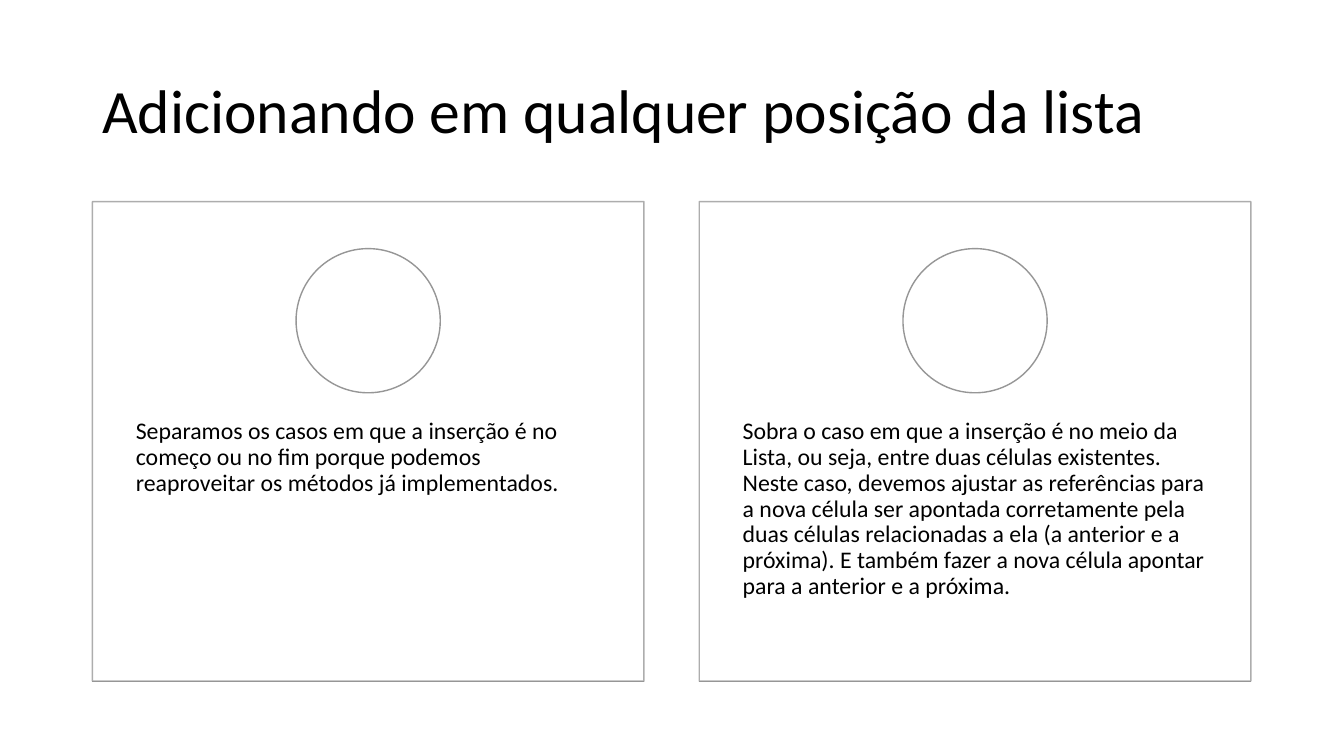
from dataclasses import dataclass

from lxml.etree import SubElement
from pptx import Presentation
from pptx.dml.color import RGBColor
from pptx.enum.shapes import MSO_CONNECTOR, MSO_SHAPE
from pptx.enum.text import MSO_ANCHOR
from pptx.oxml.ns import qn
from pptx.util import Pt


@dataclass(frozen=True)
class Theme:
    font: str = "Calibri"
    title: int = 44
    body: int = 17
    ink: RGBColor = RGBColor(0x00, 0x00, 0x00)
    paper: RGBColor = RGBColor(0xFF, 0xFF, 0xFF)
    frame: RGBColor = RGBColor(0xA5, 0xA5, 0xA5)
    rule: RGBColor = RGBColor(0x96, 0x96, 0x96)


theme = Theme()
deck = Presentation()
deck.slide_width, deck.slide_height = Pt(960), Pt(540)
slide = deck.slides.add_slide(deck.slide_layouts[6])


def add_text(text, left, top, width, height, size):
    box = slide.shapes.add_textbox(Pt(left), Pt(top), Pt(width), Pt(height))
    frame = box.text_frame
    frame.word_wrap = True
    frame.text = text
    para = frame.paragraphs[0]
    para.line_spacing = 0.9
    font = para.runs[0].font
    font.name, font.size, font.color.rgb = theme.font, Pt(size), theme.ink
    return frame


def add_panel(kind, left, top, width, height, color):
    """Add a white shape with a thin outline."""
    shape = slide.shapes.add_shape(kind, Pt(left), Pt(top), Pt(width), Pt(height))
    shape.shadow.inherit = False
    shape.fill.solid()
    shape.fill.fore_color.rgb = theme.paper
    shape.line.color.rgb = color
    shape.line.width = Pt(1)
    return shape


title = add_text("Adicionando em qualquer posição da lista", 66, 28.75, 828, 104.4, theme.title)
title.vertical_anchor = MSO_ANCHOR.MIDDLE

left, top, width, height = 66, 144, 394, 342.6
pitch = 433.5
disc = 103
cards = [
    "Separamos os casos em que a inserção é no começo ou no fim porque podemos "
    "reaproveitar os métodos já implementados.",
    "Sobra o caso em que a inserção é no meio da Lista, ou seja, entre duas células "
    "existentes. Neste caso, devemos ajustar as referências para a nova célula ser "
    "apontada corretamente pela duas células relacionadas a ela (a anterior e a próxima). "
    "E também fazer a nova célula apontar para a anterior e a próxima.",
]

for index, text in enumerate(cards):
    x = left + index * pitch
    card = add_panel(MSO_SHAPE.RECTANGLE, x, top, width, height, theme.frame)
    for color in card.element.spPr.iter(qn("a:srgbClr")):
        SubElement(color, qn("a:alpha"), val="90000")

    body = add_text(text, x, 273.6, width, 206, theme.body)
    body.margin_left = body.margin_right = Pt(31)
    body.margin_top = body.margin_bottom = Pt(26)

    add_panel(MSO_SHAPE.OVAL, x + (width - disc) / 2, 177.6, disc, disc, theme.rule)

    base = slide.shapes.add_connector(
        MSO_CONNECTOR.STRAIGHT, Pt(x), Pt(top + height), Pt(x + width), Pt(top + height)
    )
    base.line.color.rgb = theme.rule
    base.line.width = Pt(1)
    SubElement(base.element.spPr, qn("a:effectLst"))

deck.save("out.pptx")
